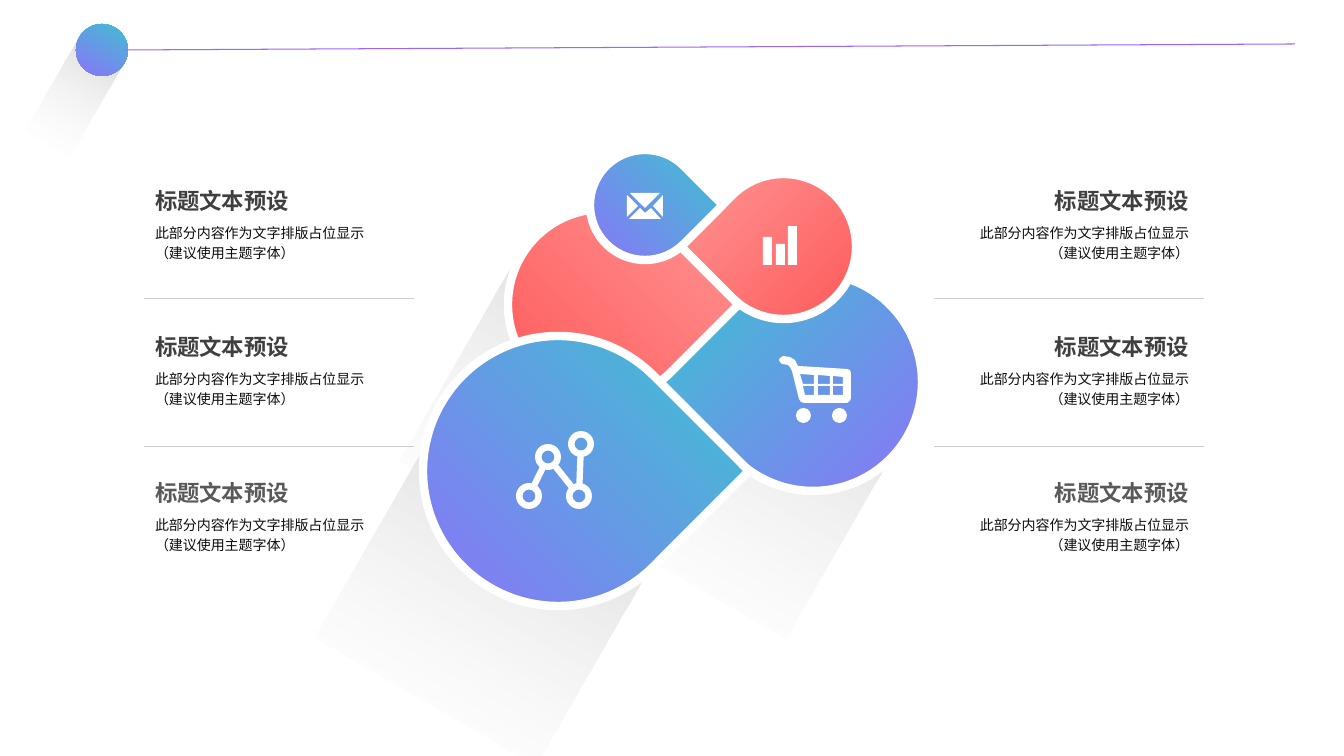
from math import hypot

from pptx import Presentation
from pptx.dml.color import RGBColor
from pptx.enum.shapes import MSO_CONNECTOR, MSO_SHAPE as SHAPE
from pptx.enum.text import PP_ALIGN as ALIGN
from pptx.oxml.ns import qn
from pptx.util import Pt

EMU_PER_PX = 914400 / 100.8
WHITE = "FFFFFF"
INK = "0C0C0C"
DIVIDER = "CECECE"
VIOLET = "9966FF"
BLUE = ("33CCCC", VIOLET)
CORAL = ("FF9999", "FF5050")
FADE = ("BFBFBF", WHITE)

HEADING = "标题文本预设"
DETAIL = "此部分内容作为文字排版占位显示\n（建议使用主题字体）"
HEADING_COLORS = ["3F3F3F", "3F3F3F", "595959"]
ROW_TOP, ROW_PITCH, DETAIL_OFFSET = 187, 146, 34
TEXT_WIDTH, HEADING_HEIGHT, DETAIL_HEIGHT = 288, 34, 56
COLUMNS = [(901, 934, ALIGN.RIGHT), (155, 144, ALIGN.LEFT)]
DIVIDER_TOPS, DIVIDER_WIDTH = [298, 446], 270

HEADER_SHADOW = (48, 43, 52, 108)
HEADER_DOT = (76, 24, 52, 52)
HEADER_LINE = (125, 50, 1295, 44)
DROP_SHADOWS = [(359, 470), (609, 343), (444, 293)]
DROPS = [
    (704, 273, 218, BLUE, True),
    (711, 174, 145, CORAL, True),
    (508, 209, 191, CORAL, False),
    (590, 150, 110, BLUE, False),
    (423, 336, 270, BLUE, False),
]

BARS, BAR_BOTTOM, BAR_WIDTH = [(763, 237), (776, 244), (788, 226)], 265, 9
ENVELOPE = [
    [(663, 195), (663, 217), (653, 206)],
    [(660, 193), (645, 208), (630, 193)],
    [(661, 219), (629, 219), (640, 208), (645, 213), (651, 208)],
    [(627, 195), (638, 206), (627, 217)],
]
CART = [
    [(851, 373), (851, 398), (850, 401), (847, 403), (804, 403), (801, 402),
     (799, 399), (792, 371), (790, 367), (788, 365), (782, 364), (780, 362),
     (779, 360), (780, 358), (783, 356), (790, 357), (795, 360), (798, 366),
     (847, 369), (850, 370)],
    [(800, 374), (814, 375), (814, 384), (803, 384)],
    [(803, 386), (814, 386), (814, 395), (805, 395)],
    [(818, 375), (830, 376), (830, 384), (818, 384)],
    [(818, 386), (830, 386), (830, 395), (818, 395)],
    [(833, 376), (843, 377), (843, 384), (833, 384)],
    [(833, 386), (843, 386), (843, 395), (833, 395)],
]
CART_WHEELS, WHEEL_SIZE = [(796, 408), (832, 408)], 15
NODES, NODE_RADIUS, EDGE_GAP = [(529, 496), (548, 457), (579, 496), (581, 444)], 13, 10


def px(length):
    return round(length * EMU_PER_PX)


def color(hex_color):
    return RGBColor.from_string(hex_color)


def add_block(kind, left, top, width, height, fill=WHITE):
    block = slide.shapes.add_shape(kind, px(left), px(top), px(width), px(height))
    block.shadow.inherit = False
    block.line.fill.background()
    if isinstance(fill, str):
        block.fill.solid()
        block.fill.fore_color.rgb = color(fill)
    else:
        block.fill.gradient()
        block.fill.gradient_angle = 270
        for stop, hex_color, position in zip(block.fill.gradient_stops, fill, (0, 1)):
            stop.color.rgb = color(hex_color)
            stop.position = position
    return block


def add_fade(left, top, width, height, opacity):
    fade = add_block(SHAPE.RECTANGLE, left, top, width, height, FADE)
    fade.rotation = 30
    stops = fade._element.spPr.iter(qn("a:srgbClr"))
    for stop, alpha in zip(list(stops), (opacity, 0)):
        stop.makeelement(qn("a:alpha"))
        alpha_tag = stop.makeelement(qn("a:alpha"), {"val": str(alpha * 1000)})
        stop.append(alpha_tag)


def add_line(x1, y1, x2, y2, hex_color, width):
    line = slide.shapes.add_connector(MSO_CONNECTOR.STRAIGHT, px(x1), px(y1), px(x2), px(y2))
    line.line.color.rgb = color(hex_color)
    line.line.width = Pt(width)
    properties = line._element.spPr
    properties.append(properties.makeelement(qn("a:effectLst")))


def add_outline(contours):
    first, *others = contours
    builder = slide.shapes.build_freeform(*first[0], scale=EMU_PER_PX)
    builder.add_line_segments(first[1:], close=True)
    for contour in others:
        builder.move_to(*contour[0])
        builder.add_line_segments(contour[1:], close=True)
    icon = builder.convert_to_shape()
    icon.shadow.inherit = False
    icon.fill.solid()
    icon.fill.fore_color.rgb = color(WHITE)
    icon.line.fill.background()


def add_text(words, left, top, height, align, size, hex_color, bold=False, spacing=1.0):
    box = slide.shapes.add_textbox(px(left), px(top), px(TEXT_WIDTH), px(height))
    frame = box.text_frame
    frame.word_wrap = True
    frame.margin_left = frame.margin_right = frame.margin_top = frame.margin_bottom = 0
    paragraph = frame.paragraphs[0]
    paragraph.text = words
    paragraph.alignment = align
    paragraph.line_spacing = spacing
    for run in paragraph.runs:
        run.font.name = "Arial"
        run.font.size = Pt(size)
        run.font.bold = bold
        run.font.color.rgb = color(hex_color)


def add_header():
    add_fade(*HEADER_SHADOW, 70)
    add_block(SHAPE.OVAL, *HEADER_DOT, BLUE).rotation = 30
    add_line(*HEADER_LINE, VIOLET, 0.75)


def add_columns():
    for text_left, divider_left, align in COLUMNS:
        for row, heading_color in enumerate(HEADING_COLORS):
            top = ROW_TOP + row * ROW_PITCH
            add_text(DETAIL, text_left, top + DETAIL_OFFSET, DETAIL_HEIGHT, align, 10, INK,
                     spacing=1.2)
            add_text(HEADING, text_left, top, HEADING_HEIGHT, align, 16, heading_color, bold=True)
        for top in DIVIDER_TOPS:
            add_line(divider_left, top, divider_left + DIVIDER_WIDTH, top, DIVIDER, 0.5)


def add_drops():
    for left, top, size, colors, flipped in DROPS:
        drop = add_block(SHAPE.TEAR, left, top, size, size, colors)
        drop.rotation = 315 if flipped else 45
        if flipped:
            drop._element.spPr.xfrm.set("flipH", "1")
        drop.line.color.rgb = color(WHITE)
        drop.line.width = Pt(6)


def add_icons():
    for left, top in BARS:
        add_block(SHAPE.RECTANGLE, left, top, BAR_WIDTH, BAR_BOTTOM - top)
    add_outline(CART)
    for left, top in CART_WHEELS:
        add_block(SHAPE.OVAL, left, top, WHEEL_SIZE, WHEEL_SIZE)
    add_outline(ENVELOPE)
    for (x1, y1), (x2, y2) in zip(NODES, NODES[1:]):
        gap = EDGE_GAP / hypot(x2 - x1, y2 - y1)
        dx, dy = (x2 - x1) * gap, (y2 - y1) * gap
        add_line(x1 + dx, y1 + dy, x2 - dx, y2 - dy, WHITE, 4.5)
    for x, y in NODES:
        node = add_block(SHAPE.DONUT, x - NODE_RADIUS, y - NODE_RADIUS,
                         2 * NODE_RADIUS, 2 * NODE_RADIUS)
        node.adjustments[0] = 0.25


deck = Presentation()
deck.slide_width, deck.slide_height = px(1344), px(756)
slide = deck.slides.add_slide(deck.slide_layouts[6])
add_header()
for left, top in DROP_SHADOWS:
    add_fade(left, top, 256, 248, 80)
add_columns()
add_drops()
add_icons()
deck.save("out.pptx")
